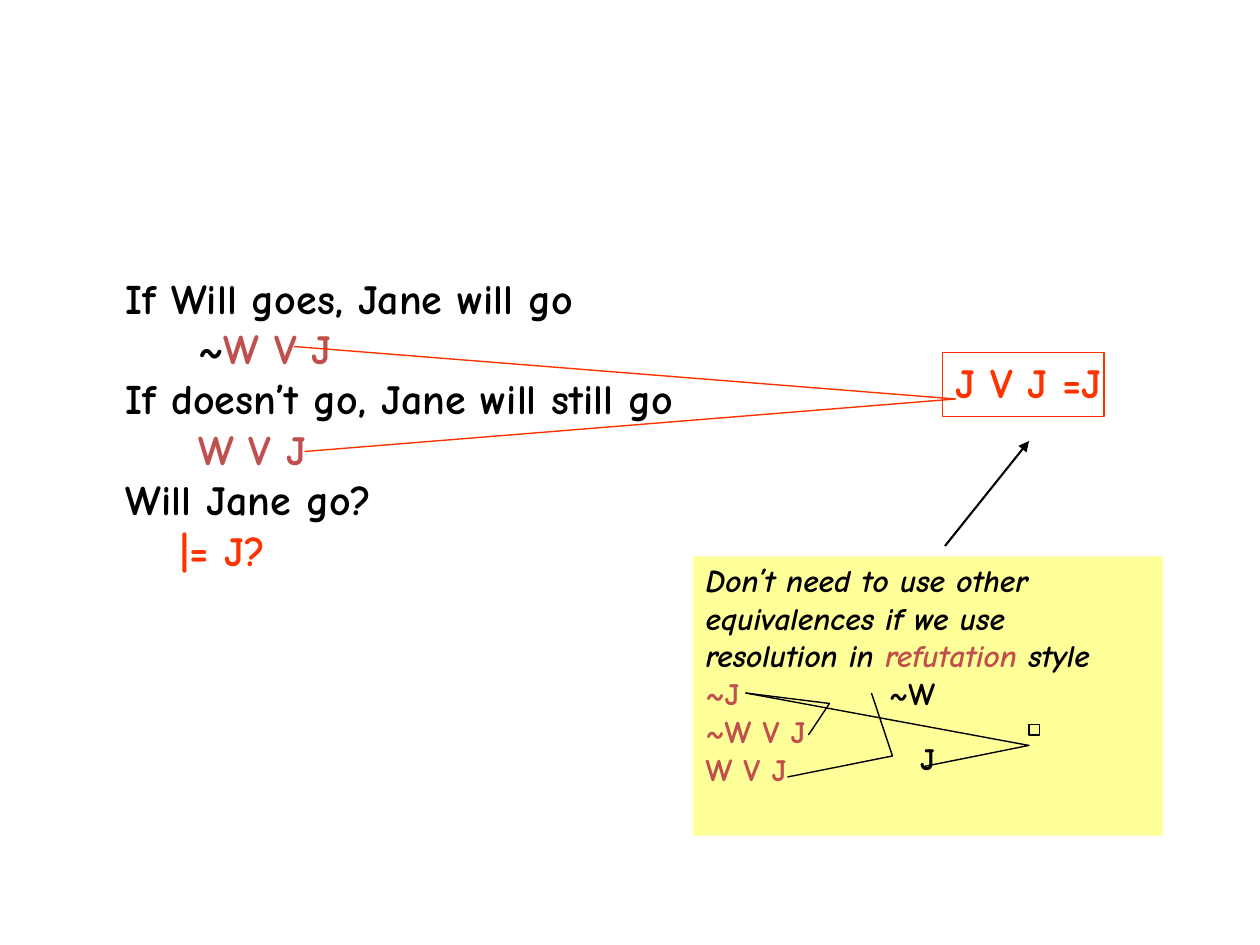
from dataclasses import dataclass

from lxml.etree import SubElement
from pptx import Presentation
from pptx.dml.color import RGBColor
from pptx.enum.shapes import MSO_CONNECTOR as Connector, MSO_SHAPE as Shape
from pptx.enum.text import PP_ALIGN as Align
from pptx.oxml.ns import qn
from pptx.util import Inches, Pt

BLACK = RGBColor(0x00, 0x00, 0x00)
BRICK = RGBColor(0xC0, 0x50, 0x4D)
ORANGE = RGBColor(0xFF, 0x33, 0x00)
YELLOW = RGBColor(0xFF, 0xFF, 0x99)

FONT = "Comic Neue"
COLUMNS, ROWS = 120, 90
CELL = Inches(10) // COLUMNS
LINE_WIDTH = Pt(0.78)


@dataclass
class Box:
    left: float
    top: float
    width: float
    height: float

    def inner(self, left, top, width, height):
        return Box(self.left + left, self.top + top, width, height)

    def point(self, x, y):
        return round((self.left + x) * CELL), round((self.top + y) * CELL)

    def lengths(self):
        return [round(n * CELL) for n in (self.left, self.top, self.width, self.height)]


def add_text(slide, box, lines, size, italic=False, align=Align.LEFT, gap=0):
    frame = slide.shapes.add_textbox(*box.lengths()).text_frame
    frame.word_wrap = True
    frame.margin_left = frame.margin_right = frame.margin_bottom = 0
    frame.margin_top = Inches(0.01)
    side = "marR" if align == Align.RIGHT else "marL"
    for index, (indent, runs) in enumerate(lines):
        paragraph = frame.add_paragraph() if index else frame.paragraphs[0]
        paragraph.alignment = align
        if indent:
            paragraph._p.get_or_add_pPr().set(side, str(round(indent * CELL)))
        if index and gap:
            paragraph.space_before = Pt(gap)
        for text, color in runs:
            run = paragraph.add_run()
            run.text = text
            run.font.name = FONT
            run.font.size = Pt(size)
            run.font.bold = True
            run.font.italic = italic
            run.font.color.rgb = color


def add_rectangle(slide, box, fill=None, line=None):
    shape = slide.shapes.add_shape(Shape.RECTANGLE, *box.lengths())
    shape.shadow.inherit = False
    if fill is None:
        shape.fill.background()
    else:
        shape.fill.solid()
        shape.fill.fore_color.rgb = fill
    if line is None:
        shape.line.fill.background()
    else:
        shape.line.color.rgb = line
        shape.line.width = LINE_WIDTH


def add_joins(slide, box, joins, color):
    points = [[box.point(*point) for point in join] for join in joins]
    builder = slide.shapes.build_freeform(*points[0][0])
    for index, (start, *rest) in enumerate(points):
        if index:
            builder.move_to(*start)
        builder.add_line_segments(rest, close=False)
    shape = builder.convert_to_shape()
    shape.shadow.inherit = False
    shape.fill.background()
    shape.line.color.rgb = color
    shape.line.width = LINE_WIDTH


def add_arrow(slide, box, start, end):
    connector = slide.shapes.add_connector(
        Connector.STRAIGHT, *box.point(*start), *box.point(*end))
    connector.line.color.rgb = BLACK
    connector.line.width = Pt(1.2)
    SubElement(connector.line._get_or_add_ln(), qn("a:tailEnd"), type="triangle")
    SubElement(connector._element.spPr, qn("a:effectLst"))


def add_premises(slide, box):
    add_text(slide, box, [
        (0.1, [("If Will goes, Jane will go", BLACK)]),
        (7, [("~", BLACK), ("W V J", BRICK)]),
        (0.1, [("If doesn’t go, Jane will still go", BLACK)]),
        (7, [("W V J", BRICK)]),
        (0.1, [("Will Jane go?", BLACK)]),
        (5.3, [("|= J?", ORANGE)]),
    ], 24)


def add_resolvent(slide, box):
    add_joins(slide, box, [[(-61.75, -0.6), (1.25, 4.4), (-60.75, 9.4)]], ORANGE)
    add_rectangle(slide, box, line=ORANGE)
    add_text(slide, box.inner(1.25, 0.2, 18.7, 5.2), [(0, [("J V J =J", ORANGE)])], 24)


def add_refutation(slide, box):
    add_rectangle(slide, box, fill=YELLOW)
    add_text(slide, box.inner(1.2, 0.3, 39, 11.2), [
        (0, [("Don’t need to use other equivalences if we use resolution in ", BLACK),
             ("refutation", BRICK), (" style", BLACK)]),
    ], 18, italic=True)
    add_text(slide, box.inner(1.2, 11.1, 11.8, 11.2),
             [(0, [(clause, BRICK)]) for clause in ("~J", "~W V J", "W V J")], 18)
    add_joins(slide, box, [[(5, 13), (13, 14), (11, 17)],
                           [(17, 13), (19, 19), (9, 21)]], BLACK)
    add_text(slide, box.inner(18, 11.1, 5.35, 10),
             [(0.3, [("~W", BLACK)]), (0, [("J", BLACK)])],
             18, align=Align.RIGHT, gap=15.6)
    add_joins(slide, box, [[(5, 13), (32, 18), (22, 20)]], BLACK)
    add_rectangle(slide, box.inner(32, 16, 1, 1), line=BLACK)
    add_arrow(slide, box, (24, -1), (32, -11))


def main():
    presentation = Presentation()
    presentation.slide_width = COLUMNS * CELL
    presentation.slide_height = ROWS * CELL
    slide = presentation.slides.add_slide(presentation.slide_layouts[6])
    add_refutation(slide, Box(66, 53, 44.75, 26.6))
    add_premises(slide, Box(11.9, 25.8, 61, 29.2))
    add_resolvent(slide, Box(89.75, 33.6, 15.4, 6.1))
    presentation.save("out.pptx")


if __name__ == "__main__":
    main()
